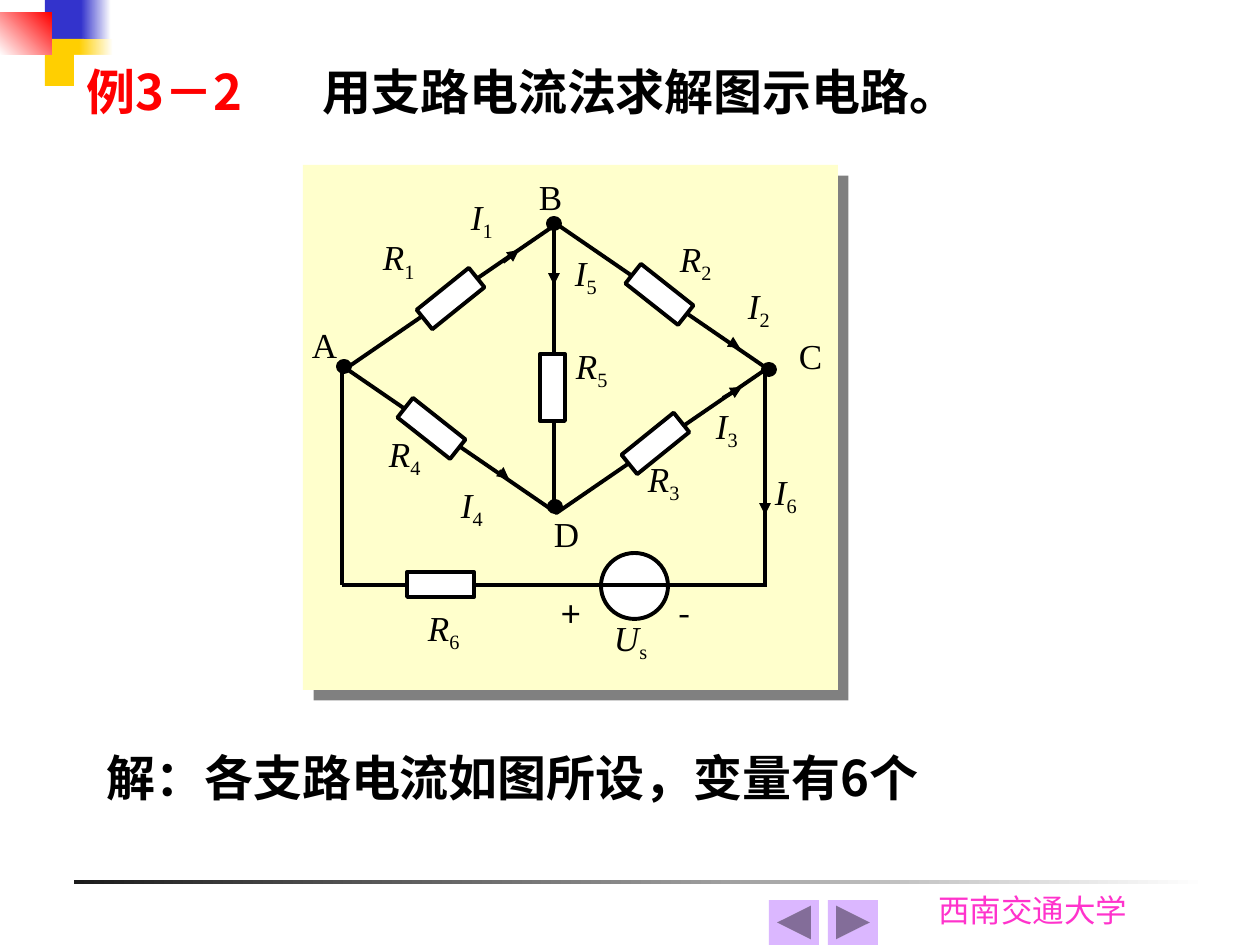
from dataclasses import dataclass

from lxml.etree import SubElement
from pptx import Presentation
from pptx.dml.color import RGBColor
from pptx.enum.shapes import MSO_CONNECTOR, MSO_SHAPE
from pptx.enum.text import PP_ALIGN
from pptx.oxml.ns import qn
from pptx.util import Emu, Pt

EMU_PER_PX = 914400 / 126


@dataclass(frozen=True)
class Theme:
    black: str = "000000"
    white: str = "FFFFFF"
    red: str = "FF0000"
    blue: str = "3333CC"
    yellow: str = "FFCF01"
    rule: str = "1C1C1C"
    panel: str = "FFFFCC"
    shadow: str = "808080"
    button: str = "DBB7FF"
    footer: str = "FF33CC"
    heading_font: str = "Noto Sans CJK SC"
    footer_font: str = "Karla"
    label_font: str = "Times New Roman"
    heading_size: int = 28
    footer_size: int = 18
    label_size: int = 20
    wire_width: float = 2.25


THEME = Theme()

RESISTORS = [
    (417, 286, 67, 25, 141.2),
    (622, 431, 67, 25, 321.1),
    (626, 282, 67, 25, 38.3),
    (398, 416, 67, 25, 38.3),
    (407, 572, 67, 25, 0),
    (540, 354, 25, 67, 0),
]
WIRES = [
    (554, 223, 554, 505),
    (342, 368, 342, 585),
    (342, 585, 767, 585),
    (765, 368, 765, 585),
]
NODES = [(548, 218), (763, 364), (549, 501), (338, 361)]
CURRENT_ARROWS = [
    (554, 261, 554, 285),
    (503, 262, 519, 250),
    (723, 398, 742, 387),
    (732, 343, 740, 348),
    (499, 471, 509, 479),
    (765, 489, 765, 515),
]
QUANTITIES = [
    ("R", "3", 648, 457),
    ("R", "1", 383, 236),
    ("R", "2", 680, 237),
    ("R", "4", 389, 432),
    ("R", "6", 428, 606),
    ("R", "5", 576, 344),
    ("I", "2", 748, 284),
    ("U", "s", 614, 616),
    ("I", "1", 471, 195),
    ("I", "5", 575, 251),
    ("I", "3", 716, 404),
    ("I", "4", 461, 483),
    ("I", "6", 775, 470),
]
NODE_NAMES = [("B", 539, 175), ("A", 312, 323), ("C", 799, 334), ("D", 554, 512)]
POLARITIES = [("-", 679, 591), ("+", 562, 592)]


def px(length):
    return Emu(round(length * EMU_PER_PX))


def rgb(value):
    return RGBColor.from_string(value)


def add_figure(slide, kind, box, fill=None, outlined=False, rotation=0):
    figure = slide.shapes.add_shape(kind, *map(px, box))
    figure.shadow.inherit = False
    figure.rotation = rotation
    if fill:
        figure.fill.solid()
        figure.fill.fore_color.rgb = rgb(fill)
    else:
        figure.fill.background()
    if outlined:
        figure.line.color.rgb = rgb(THEME.black)
        figure.line.width = Pt(THEME.wire_width)
    else:
        figure.line.fill.background()
    return figure


def add_gradient(slide, box, start, end, angle=0):
    band = add_figure(slide, MSO_SHAPE.RECTANGLE, box)
    band.fill.gradient()
    band.fill.gradient_angle = angle
    for stop, position, color in zip(band.fill.gradient_stops, (0, 1), (start, end)):
        stop.position = position
        stop.color.rgb = rgb(color)


def add_wire(slide, ends, arrow=False):
    wire = slide.shapes.add_connector(MSO_CONNECTOR.STRAIGHT, *map(px, ends))
    wire.line.color.rgb = rgb(THEME.black)
    wire.line.width = Pt(THEME.wire_width)
    if arrow:
        SubElement(wire.line._get_or_add_ln(), qn("a:tailEnd"), type="triangle")
    SubElement(wire._element.spPr, qn("a:effectLst"))


def add_text_box(slide, box, inset=True):
    holder = slide.shapes.add_textbox(*map(px, box))
    frame = holder.text_frame
    frame.word_wrap = True
    if not inset:
        frame.margin_left = frame.margin_right = 0
        frame.margin_top = frame.margin_bottom = 0
    return holder, frame.paragraphs[0]


def set_font(paragraph, name, size, color=None, bold=False):
    font = paragraph.font
    font.name = name
    font.size = Pt(size)
    font.bold = bold
    if color:
        font.color.rgb = rgb(color)
    SubElement(font._element, qn("a:ea"), typeface=name)


def add_sentence(slide, box, sentence, name, size, color, bold=False):
    _, paragraph = add_text_box(slide, box)
    paragraph.text = sentence
    set_font(paragraph, name, size, color, bold)


def add_title(slide):
    holder, paragraph = add_text_box(slide, (74, 55, 953, 100))
    holder.fill.solid()
    holder.fill.fore_color.rgb = rgb(THEME.white)
    tabs = SubElement(paragraph._p.get_or_add_pPr(), qn("a:tabLst"))
    SubElement(tabs, qn("a:tab"), pos=str(px(236)), algn="l")
    set_font(paragraph, THEME.heading_font, THEME.heading_size, bold=True)
    for words, color in (("例3－2\t", THEME.red), ("用支路电流法求解图示电路。", THEME.black)):
        run = paragraph.add_run()
        run.text = words
        run.font.color.rgb = rgb(color)


def add_label(slide, text, left, top, name=THEME.label_font, subscript=None):
    _, paragraph = add_text_box(slide, (left, top, 60, 58), inset=False)
    paragraph.alignment = PP_ALIGN.JUSTIFY
    set_font(paragraph, name, THEME.label_size, THEME.black)
    symbol = paragraph.add_run()
    symbol.text = text
    if subscript:
        symbol.font.italic = True
        index = paragraph.add_run()
        index.text = subscript
        index._r.get_or_add_rPr().set("baseline", "-25000")


def add_panel(slide):
    panel = add_figure(slide, MSO_SHAPE.RECTANGLE, (303, 165, 535, 525), THEME.panel)
    effects = panel._element.spPr.find(qn("a:effectLst"))
    shadow = SubElement(effects, qn("a:outerShdw"), dist=str(Pt(8.5)), dir="2700000",
                        algn="ctr", rotWithShape="0")
    SubElement(shadow, qn("a:srgbClr"), val=THEME.shadow)


def add_decoration(slide):
    add_gradient(slide, (74, 880, 1134, 4), THEME.rule, THEME.white)
    add_sentence(slide, (926, 885, 228, 50), "西南交通大学",
                 THEME.footer_font, THEME.footer_size, THEME.footer)
    add_figure(slide, MSO_SHAPE.RECTANGLE, (45, 0, 40, 47), THEME.blue)
    add_gradient(slide, (81, 0, 30, 47), THEME.blue, THEME.white)
    add_figure(slide, MSO_SHAPE.RECTANGLE, (45, 39, 39, 47), THEME.yellow)
    add_gradient(slide, (79, 39, 34, 47), THEME.yellow, THEME.white)
    add_gradient(slide, (0, 13, 52, 42), THEME.white, THEME.red, angle=45)


def add_circuit(slide):
    add_panel(slide)
    add_figure(slide, MSO_SHAPE.DIAMOND, (346, 224, 421, 289), outlined=True)
    add_figure(slide, MSO_SHAPE.OVAL, (601, 553, 67, 66), THEME.white, outlined=True)
    for ends in WIRES:
        add_wire(slide, ends)
    for *box, rotation in RESISTORS:
        add_figure(slide, MSO_SHAPE.RECTANGLE, box, THEME.white, True, rotation)
    for left, top in NODES:
        add_figure(slide, MSO_SHAPE.OVAL, (left, top, 12, 11), THEME.black, outlined=True)
    for ends in CURRENT_ARROWS:
        add_wire(slide, ends, arrow=True)
    for symbol, index, left, top in QUANTITIES:
        add_label(slide, symbol, left, top, subscript=index)
    for node, left, top in NODE_NAMES:
        add_label(slide, node, left, top)
    for sign, left, top in POLARITIES:
        add_label(slide, sign, left, top, THEME.heading_font)


def main():
    deck = Presentation()
    deck.slide_width, deck.slide_height = px(1260), px(945)
    slide = deck.slides.add_slide(deck.slide_layouts[6])
    add_decoration(slide)
    add_title(slide)
    add_sentence(slide, (94, 741, 903, 89), "解：各支路电流如图所设，变量有6个",
                 THEME.heading_font, THEME.heading_size, THEME.black, bold=True)
    add_circuit(slide)
    add_figure(slide, MSO_SHAPE.ACTION_BUTTON_BACK_OR_PREVIOUS, (769, 900, 50, 45), THEME.button)
    add_figure(slide, MSO_SHAPE.ACTION_BUTTON_FORWARD_OR_NEXT, (828, 900, 50, 45), THEME.button)
    deck.save("out.pptx")


if __name__ == "__main__":
    main()
